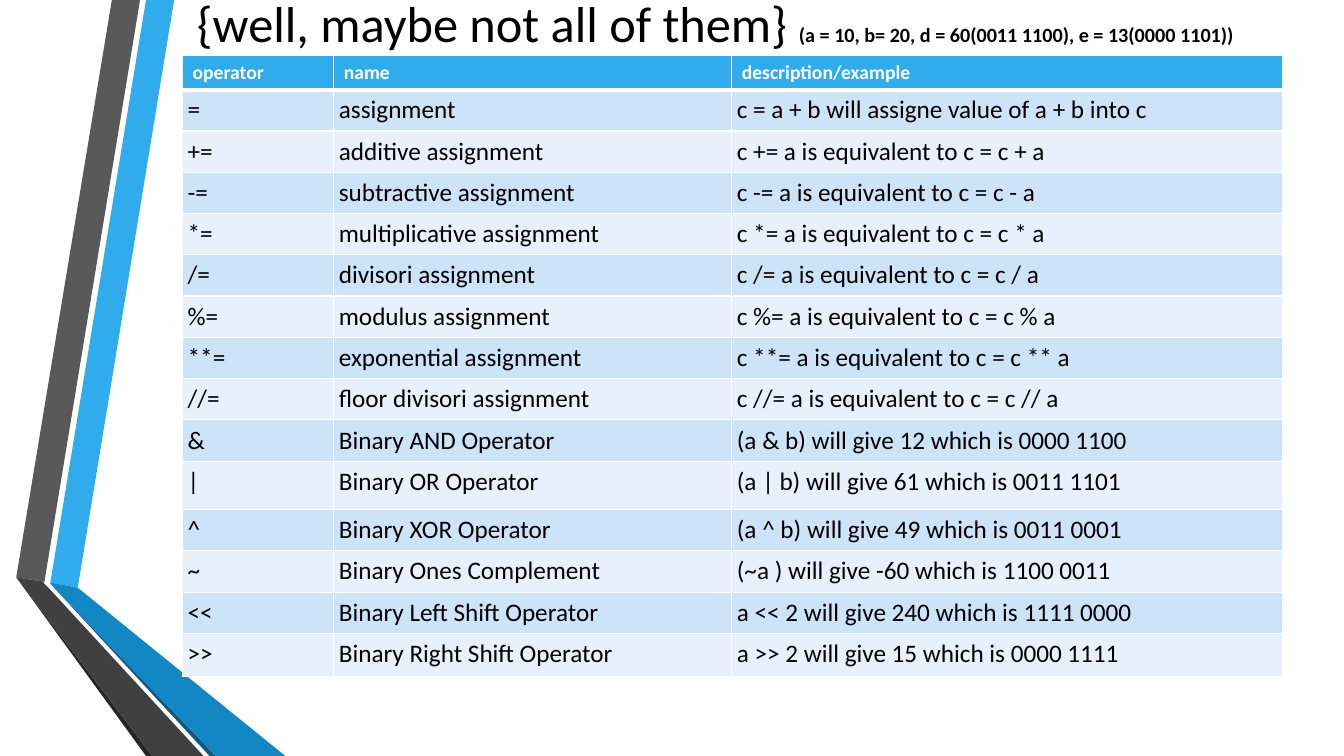
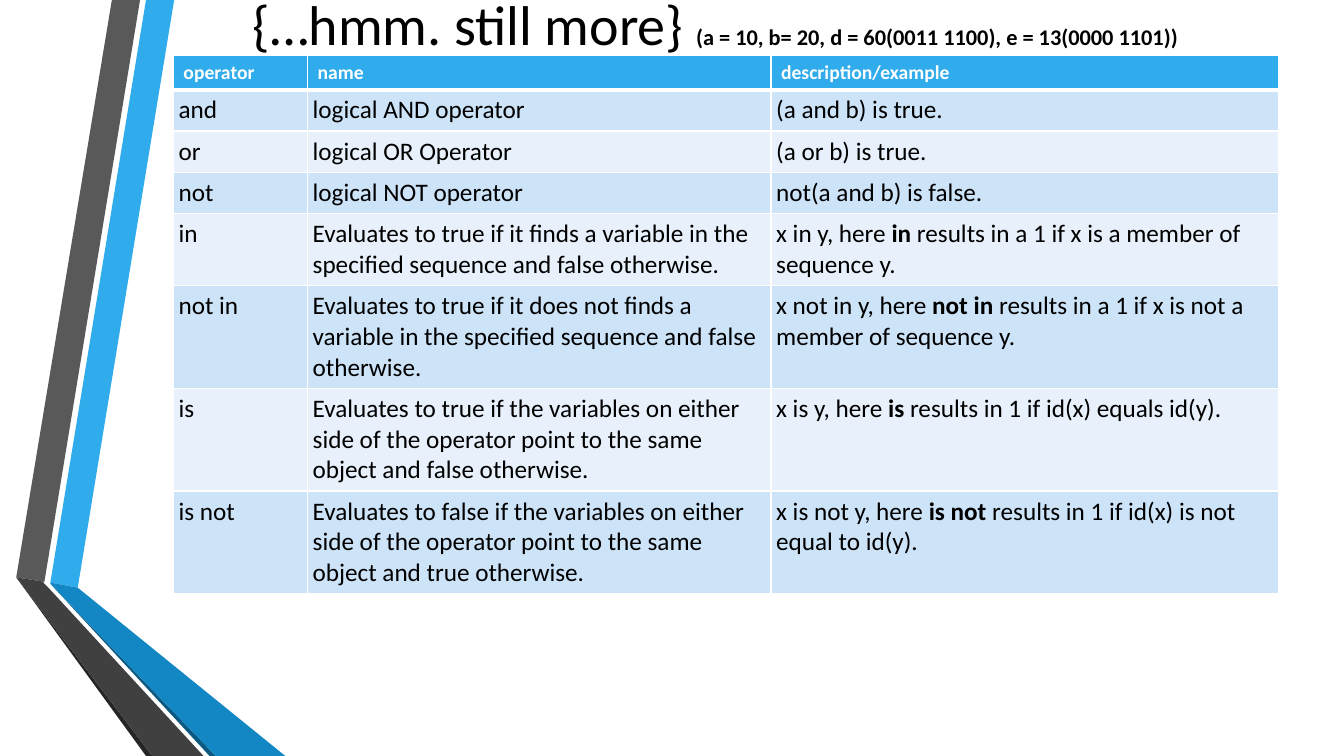
from dataclasses import dataclass

from lxml import etree
from pptx import Presentation
from pptx import util as u
from pptx.dml.color import RGBColor
from pptx.enum import text
from pptx.oxml.ns import qn

# Shared look
FONT = "Calibri"
BLACK, WHITE, BLUE = "000000", "FFFFFF", "30ACEC"
ROW_FILLS = ("CDE3F8", "E8F1FB")
HEADER = ("operator", "name", "description/example")
VALUES = "(a = 10, b= 20, d = 60(0011 1100), e = 13(0000 1101))"
TABLE_TOP, HEADER_H = 1.4, 0.86
ONE_LINE, TWO_LINES, THREE_LINES = 1.04, 1.81, 2.59
BOTTOM = 19.05


@dataclass
class Band:
    color: str
    points: list[tuple[float, float]]


@dataclass
class OpRow:
    operator: str
    name: str
    example: str | tuple[str, ...]  # in a tuple every second part is bold
    height: float = ONE_LINE


@dataclass
class OpSlide:
    title: str
    title_size: float
    values_size: float
    left: float
    widths: tuple[float, float, float]
    rows: list[OpRow]


BANDS = [
    Band(BLUE, [(1.27, 14.68), (1.96, 14.81), (4.39, 0), (3.68, 0)]),
    Band("595959", [(3.53, 0), (2.82, 0), (0.41, 14.55), (1.12, 14.66)]),
    Band("262626", [(0.41, 14.55), (3.68, BOTTOM), (3.84, BOTTOM)]),
    Band("0C5A82", [(1.27, 14.71), (5.28, BOTTOM), (5.44, BOTTOM)]),
    Band("1287C3", [(1.27, 14.71), (5.44, BOTTOM), (7.19, BOTTOM),
                    (1.96, 14.81), (1.27, 14.68)]),
    Band("404040", [(5.13, BOTTOM), (1.22, 14.81), (1.09, 14.68),
                    (1.12, 14.66), (0.41, 14.55), (3.84, BOTTOM)]),
]

SLIDES = [
    OpSlide("{well, maybe not all of them} ", 36, 14.4, 4.6, (3.81, 10.03, 13.87), [
        OpRow("=", "assignment", "c = a + b will assigne value of a + b into c"),
        OpRow("+=", "additive assignment", "c += a is equivalent to c = c + a"),
        OpRow("-=", "subtractive assignment", "c -= a is equivalent to c = c - a"),
        OpRow("*=", "multiplicative assignment", "c *= a is equivalent to c = c * a"),
        OpRow("/=", "divisori assignment", "c /= a is equivalent to c = c / a"),
        OpRow("%=", "modulus assignment", "c %= a is equivalent to c = c % a"),
        OpRow("**=", "exponential assignment", "c **= a is equivalent to c = c ** a"),
        OpRow("//=", "floor divisori assignment", "c //= a is equivalent to c = c // a"),
        OpRow("&", "Binary AND Operator", "(a & b) will give 12 which is 0000 1100"),
        OpRow("|", "Binary OR Operator", "(a | b) will give 61 which is 0011 1101", 1.22),
        OpRow("^", "Binary XOR Operator", "(a ^ b) will give 49 which is 0011 0001"),
        OpRow("~", "Binary Ones Complement", "(~a ) will give -60 which is 1100 0011"),
        OpRow("<<", "Binary Left Shift Operator", "a << 2 will give 240 which is 1111 0000"),
        OpRow(">>", "Binary Right Shift Operator", "a >> 2 will give 15 which is 0000 1111", 1.09),
    ]),
    OpSlide("{…hmm. still more} ", 40, 16, 4.37, (3.38, 11.68, 12.78), [
        OpRow("and", "logical AND operator", "(a and b) is true."),
        OpRow("or", "logical OR Operator", "(a or b) is true."),
        OpRow("not", "logical NOT operator", "not(a and b) is false."),
        OpRow("in", "Evaluates to true if it finds a variable in the specified "
              "sequence and false otherwise.",
              ("x in y, here ", "in", " results in a 1 if x is a member of sequence y."),
              TWO_LINES),
        OpRow("not in", "Evaluates to true if it does not finds a variable in the "
              "specified sequence and false otherwise.",
              ("x not in y, here ", "not in",
               " results in a 1 if x is not a member of sequence y."), THREE_LINES),
        OpRow("is", "Evaluates to true if the variables on either side of the "
              "operator point to the same object and false otherwise.",
              ("x is y, here ", "is", " results in 1 if id(x) equals id(y)."), THREE_LINES),
        OpRow("is not", "Evaluates to false if the variables on either side of the "
              "operator point to the same object and true otherwise.",
              ("x is not y, here ", "is not",
               " results in 1 if id(x) is not equal to id(y)."), THREE_LINES),
    ]),
]


def paint(fmt, color: str) -> None:
    """Fill a shape or cell with a solid colour."""
    fmt.fill.solid()
    fmt.fill.fore_color.rgb = RGBColor.from_string(color)


def add_run(p, content: str, size: float, color: str, bold: bool) -> None:
    r = p.add_run()
    r.text = content
    r.font.name, r.font.size, r.font.bold = FONT, u.Pt(size), bold
    r.font.color.rgb = RGBColor.from_string(color)


def set_borders(cell, top: float, bottom: float) -> None:
    """White cell borders; widths in points."""
    tc_pr = cell._tc.get_or_add_tcPr()
    sides = (("L", 1), ("R", 1), ("T", top), ("B", bottom))
    for i, (side, width) in enumerate(sides):
        ln = etree.Element(qn(f"a:ln{side}"), w=str(u.Pt(width)))
        fill = etree.SubElement(ln, qn("a:solidFill"))
        etree.SubElement(fill, qn("a:srgbClr"), val=WHITE)
        tc_pr.insert(i, ln)


def style_layout(layout) -> None:
    """Place the title once for all slides."""
    title = layout.placeholders[0]
    title.left, title.top = u.Cm(4.11), u.Cm(-0.48)
    title.width, title.height = u.Cm(27.84), u.Cm(2.11)
    title.text_frame.vertical_anchor = text.MSO_ANCHOR.MIDDLE
    title.text_frame.auto_size = text.MSO_AUTO_SIZE.NONE


def add_bands(s, layout) -> None:
    """Draw the folded bands on a slide, then move them to its layout."""
    group = s.shapes.add_group_shape()
    for band in BANDS:
        start, *rest = [(u.Cm(x), u.Cm(y)) for x, y in band.points]
        builder = group.shapes.build_freeform(*start, scale=1.0)
        builder.add_line_segments(rest, close=True)
        sp = builder.convert_to_shape()
        sp.shadow.inherit = False
        paint(sp, band.color)
        sp.line.fill.background()
    # Ids must be unique within the layout
    for i, props in enumerate(group.element.iter(qn("p:cNvPr")), 20):
        props.set("id", str(i))
    layout.shapes.element.insert(2, group.element)


def add_title(s, data: OpSlide) -> None:
    tf = s.shapes.title.text_frame
    p = tf.paragraphs[0]
    p.alignment = text.PP_ALIGN.CENTER
    add_run(p, data.title, data.title_size, BLACK, False)
    add_run(p, VALUES, data.values_size, BLACK, True)


def add_operator_table(s, data: OpSlide) -> None:
    heights = [HEADER_H] + [row.height for row in data.rows]
    table = s.shapes.add_table(
        len(heights), len(HEADER), u.Cm(data.left), u.Cm(TABLE_TOP),
        u.Cm(sum(data.widths)), u.Cm(sum(heights))).table
    table.horz_banding = False
    for column, width in zip(table.columns, data.widths):
        column.width = u.Cm(width)
    for row, height in zip(table.rows, heights):
        row.height = u.Cm(height)

    lines = [HEADER] + [(row.operator, row.name, row.example) for row in data.rows]
    for i, line in enumerate(lines):
        header = i == 0
        for j, content in enumerate(line):
            cell = table.cell(i, j)
            paint(cell, BLUE if header else ROW_FILLS[(i - 1) % 2])
            set_borders(cell, 3 if i == 1 else 1, 3 if header else 1)
            if not header:
                cell.margin_left = cell.margin_right = u.Cm(0.13)
                cell.margin_top = cell.margin_bottom = u.Cm(0.13)
            parts = (content,) if isinstance(content, str) else content
            for k, part in enumerate(parts):
                add_run(cell.text_frame.paragraphs[0], part, 14 if header else 18,
                        WHITE if header else BLACK, header or k % 2 == 1)


def main() -> None:
    prs = Presentation()
    prs.slide_width, prs.slide_height = u.Cm(33.87), u.Cm(BOTTOM)
    layout = prs.slide_layouts.get_by_name("Title Only")
    style_layout(layout)
    for i, data in enumerate(SLIDES):
        s = prs.slides.add_slide(layout)
        if i == 0:
            add_bands(s, layout)
        add_title(s, data)
        add_operator_table(s, data)
    prs.save("out.pptx")


if __name__ == "__main__":
    main()
